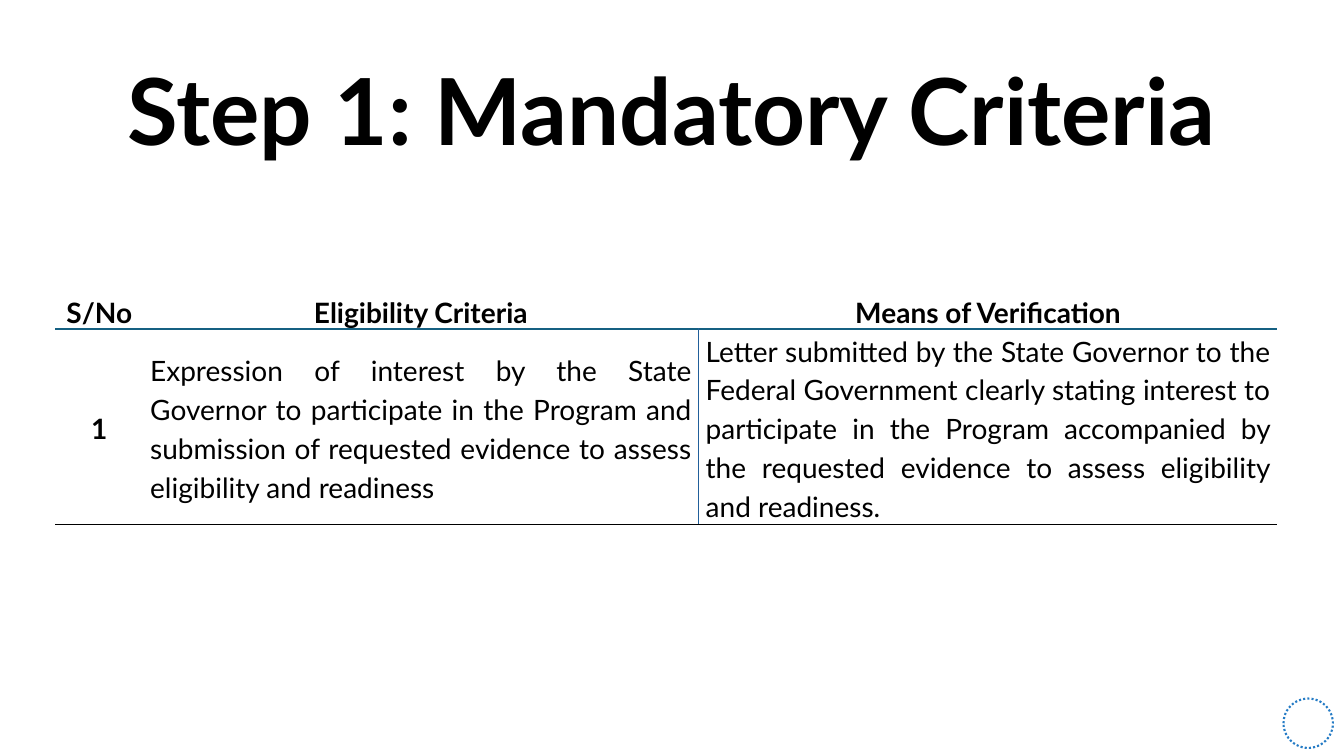
import pptx
import pptx.dml.color
import pptx.enum.dml
import pptx.enum.shapes
import pptx.enum.text
import pptx.oxml
import pptx.oxml.ns
import pptx.util

W, H = 13.33, 7.5
FONT = "Lato"
COLORS = {"text": "000000", "rule": "156082", "divider": "215F9A", "ring": "247BC5"}
ALIGN = pptx.enum.text.PP_ALIGN
MIDDLE = pptx.enum.text.MSO_ANCHOR.MIDDLE
NO_GRID = "{2D5ABB26-0587-4C30-8999-92F81FD0307C}"
COLUMNS = [0.87, 5.51, 5.74]
ROWS = [0.38, 1.93]
CELLS = [
    ["S/No", "Eligibility Criteria", "Means of Verification"],
    [
        "1",
        "Expression of interest by the State Governor to participate in the Program "
        "and submission of requested evidence to assess eligibility and readiness",
        "Letter submitted by the State Governor to the Federal Government clearly "
        "stating interest to participate in the Program accompanied by the requested "
        "evidence to assess eligibility and readiness.",
    ],
]


def inches(*values):
    """Convert lengths in inches."""
    return [pptx.util.Inches(v) for v in values]


def rgb(name):
    """Look up a colour by name."""
    return pptx.dml.color.RGBColor.from_string(COLORS[name])


def write(tf, text, size, bold, align, spacing):
    """Set and format one paragraph of text."""
    tf.text = text
    p = tf.paragraphs[0]
    p.alignment, p.line_spacing = align, spacing
    font = p.runs[0].font
    font.name, font.size, font.bold = FONT, pptx.util.Pt(size), bold
    font.color.rgb = rgb("text")
    return p


def add_title(slide, box, text):
    """Place the slide title in its box."""
    sp = slide.shapes.title
    sp.left, sp.top, sp.width, sp.height = inches(*box)
    tf = sp.text_frame
    tf.word_wrap, tf.vertical_anchor = True, MIDDLE
    tf.auto_size = pptx.enum.text.MSO_AUTO_SIZE.NONE
    write(tf, text, 66, True, ALIGN.CENTER, 0.9)


def add_border(cell, side, color, width):
    """Draw one side (L, R, T or B) of a cell."""
    cell._tc.get_or_add_tcPr().append(pptx.oxml.parse_xml(
        f'<a:ln{side} {pptx.oxml.ns.nsdecls("a")} w="{int(pptx.util.Pt(width))}">'
        f'<a:solidFill><a:srgbClr val="{COLORS[color]}"/></a:solidFill></a:ln{side}>'))


def add_criteria_table(slide, left, top):
    """Place the criteria table with its rules."""
    box = inches(left, top, sum(COLUMNS), sum(ROWS))
    table = slide.shapes.add_table(len(ROWS), len(COLUMNS), *box).table
    table._tbl.tblPr.find(pptx.oxml.ns.qn("a:tableStyleId")).text = NO_GRID
    table.first_row = table.horz_banding = False
    for column, width in zip(table.columns, inches(*COLUMNS)):
        column.width = width
    for row, height in zip(table.rows, inches(*ROWS)):
        row.height = height
    for i, texts in enumerate(CELLS):
        for j, text in enumerate(texts):
            cell = table.cell(i, j)
            body = i > 0 and j > 0
            side = 0.07 if body else 0.09
            cell.margin_left, cell.margin_right = inches(side, side)
            cell.margin_top = cell.margin_bottom = 0
            cell.vertical_anchor = MIDDLE
            align = ALIGN.JUSTIFY if body else ALIGN.CENTER
            p = write(cell.text_frame, text, 20, not body, align, 1.15)
            p.space_before = pptx.util.Pt(6)
            if i == 0:
                add_border(cell, "B", "rule", 1.5)
            else:
                if j == 2:
                    add_border(cell, "L", "divider", 1)
                if j == 1:
                    add_border(cell, "R", "divider", 1)
                add_border(cell, "T", "rule", 1.5)
                add_border(cell, "B", "text", 0.25)
            cell.fill.background()


def add_ring(slide, box):
    """Place the dotted ring in the corner."""
    sp = slide.shapes.add_shape(pptx.enum.shapes.MSO_SHAPE.OVAL, *inches(*box))
    sp.shadow.inherit = False
    sp.fill.background()
    sp.line.color.rgb = rgb("ring")
    sp.line.width = pptx.util.Pt(1.5)
    sp.line.dash_style = pptx.enum.dml.MSO_LINE.ROUND_DOT


def main():
    """Build and save the slide."""
    prs = pptx.Presentation()
    prs.slide_width, prs.slide_height = inches(W, H)
    slide = prs.slides.add_slide(prs.slide_layouts[5])
    add_title(slide, (0.7, 0.46, 11.93, 1.37), "Step 1: Mandatory Criteria")
    add_criteria_table(slide, 0.55, 2.88)
    add_ring(slide, (12.73, 6.93, 0.49, 0.49))
    prs.save("out.pptx")


if __name__ == "__main__":
    main()
